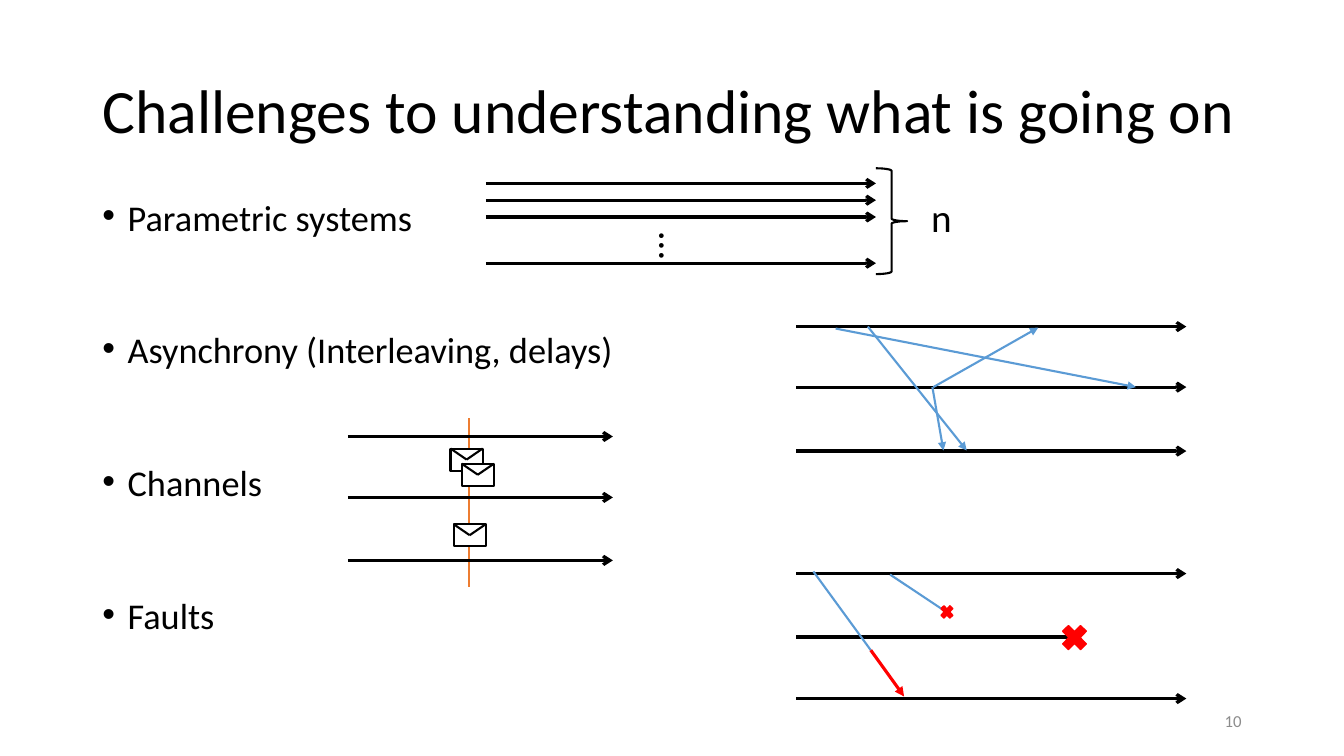
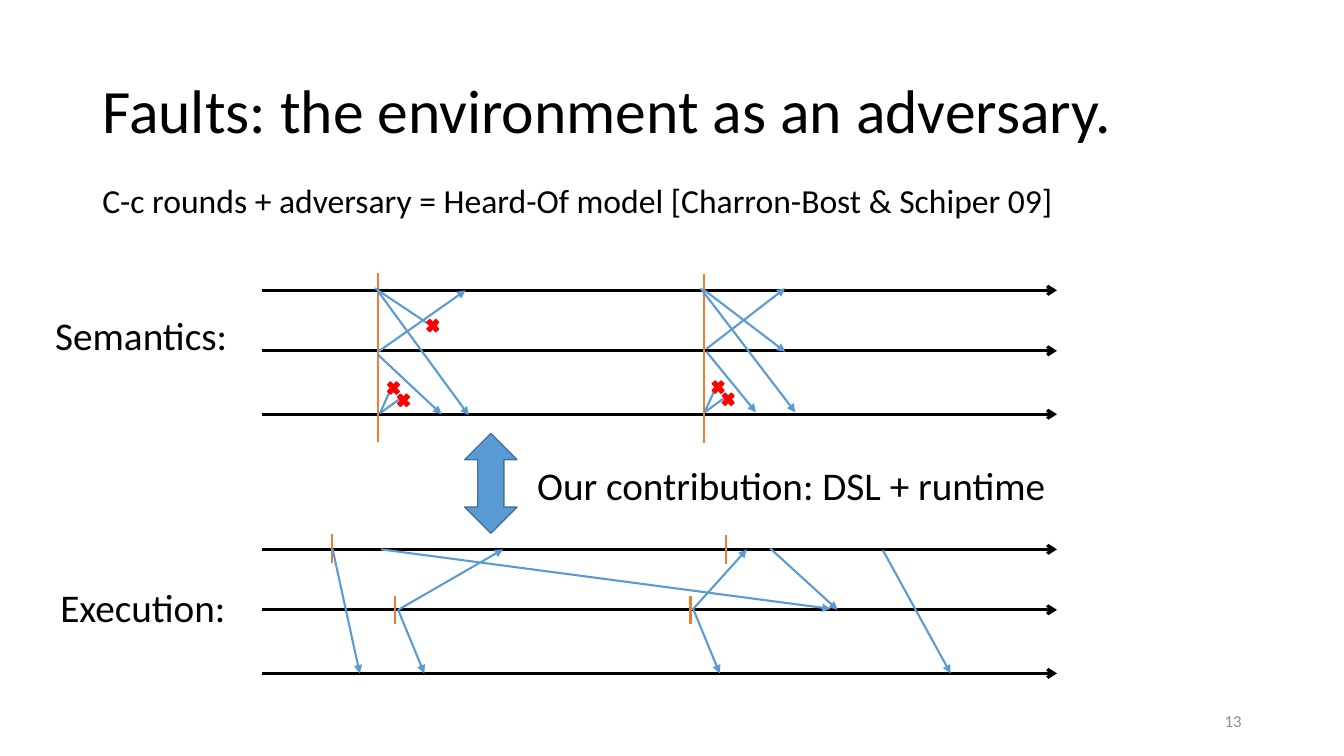
from lxml import etree
from pptx import Presentation
from pptx.dml.color import RGBColor
from pptx.enum import shapes, text
from pptx.oxml.ns import qn
from pptx.util import Pt

BLACK = RGBColor(0x00, 0x00, 0x00)
WHITE = RGBColor(0xFF, 0xFF, 0xFF)
BLUE = RGBColor(0x5B, 0x9B, 0xD5)
DARK_BLUE = RGBColor(0x43, 0x73, 0x9E)
ORANGE = RGBColor(0xED, 0x7D, 0x31)
RED = RGBColor(0xFF, 0x00, 0x00)
GRAY = RGBColor(0x8C, 0x8C, 0x8C)
FONT = "Calibri"

LINE = shapes.MSO_CONNECTOR.STRAIGHT
CROSS = shapes.MSO_SHAPE.MATH_MULTIPLY
SMALL_CROSS = (12.2, 13)


def write(tf, words, size=28, color=BLACK, align=text.PP_ALIGN.LEFT,
          anchor=text.MSO_ANCHOR.TOP, wrap=False, spacing=None,
          before=0, after=0):
    """Fill a text frame, one paragraph for each line of words."""
    tf.auto_size = text.MSO_AUTO_SIZE.NONE
    tf.word_wrap = wrap
    tf.vertical_anchor = anchor
    for i, line in enumerate(words.split("\n")):
        p = tf.add_paragraph() if i else tf.paragraphs[0]
        p.alignment = align
        p.line_spacing = spacing
        p.space_before, p.space_after = Pt(before), Pt(after)
        r = p.add_run()
        r.text = line
        r.font.name, r.font.size = FONT, Pt(size)
        r.font.color.rgb = color


def draw(s, kind, a, b, c, d, color=BLACK, width=1.5, fill=None, head=None):
    """Draw a line from (a, b) to (c, d), or a shape at (a, b) sized c by d."""
    box = [Pt(v) for v in (a, b, c, d)]
    if kind == LINE and isinstance(kind, shapes.MSO_CONNECTOR):
        sp = s.shapes.add_connector(kind, *box)
    else:
        sp = s.shapes.add_shape(kind, *box)
        sp.shadow.inherit = False
        if fill is None:
            sp.fill.background()
        else:
            sp.fill.solid()
            sp.fill.fore_color.rgb = fill
    sp.line.color.rgb = color
    sp.line.width = Pt(width)
    spPr = sp._element.spPr
    if head:
        etree.SubElement(spPr.find(qn("a:ln")), qn("a:tailEnd"), type=head)
    if spPr.find(qn("a:effectLst")) is None:
        etree.SubElement(spPr, qn("a:effectLst"))


prs = Presentation()
prs.slide_width, prs.slide_height = Pt(960), Pt(540)

# Title and slide number on both slides
slides = []
for layout, title, number in (
        (1, "Challenges to understanding what is going on", "10"),
        (5, "Faults: the environment as an adversary.", "13")):
    s = prs.slides.add_slide(prs.slide_layouts[layout])
    sp = s.shapes.title
    sp.left, sp.top, sp.width, sp.height = Pt(66), Pt(28.8), Pt(828), Pt(104.4)
    write(sp.text_frame, title, size=44, anchor=text.MSO_ANCHOR.MIDDLE,
          wrap=True, spacing=0.9)
    sp = s.shapes.add_textbox(Pt(678), Pt(500.4), Pt(216), Pt(28.8))
    write(sp.text_frame, number, size=12, color=GRAY, wrap=True,
          align=text.PP_ALIGN.RIGHT, anchor=text.MSO_ANCHOR.MIDDLE)
    slides.append(s)
challenges, adversary = slides

# Challenges: bullet list
s = challenges
sp = s.placeholders[1]
sp.left, sp.top, sp.width, sp.height = Pt(66), Pt(144), Pt(828), Pt(342.7)
write(sp.text_frame, "Parametric systems\nAsynchrony (Interleaving, delays)\n"
      "Channels\nFaults", size=25.9, wrap=True, spacing=0.7,
      before=10, after=63.2)
for p in sp.text_frame.paragraphs:
    pPr = p._p.get_or_add_pPr()
    pPr.set("marL", str(Pt(18)))
    pPr.set("indent", str(Pt(-18)))
    etree.SubElement(pPr, qn("a:buFont"), typeface="Arial")
    etree.SubElement(pPr, qn("a:buChar"), char="•")

# Process timelines: left, right, heights
for x1, x2, ys in ((347, 625.7, (131, 143, 155, 188)),
                   (568.8, 847.4, (233.3, 276.5, 322.2)),
                   (248.4, 437.8, (311.8, 355.3, 400.3)),
                   (568.8, 847.4, (409.7, 499))):
    if x1 == 248.4:
        draw(s, LINE, 334.8, 298.8, 334.8, 419, ORANGE)
    for y in ys:
        draw(s, LINE, x1, y, x2, y, width=2.25, head="arrow")

# Parametric systems: brace and labels
draw(s, shapes.MSO_SHAPE.RIGHT_BRACE, 625.7, 120.2, 22.3, 75.6)
sp = s.shapes.add_textbox(Pt(454.3), Pt(159.1), Pt(48.2), Pt(26.6))
write(sp.text_frame, "…")
sp.text_frame._txBody.bodyPr.set("vert", "vert")
sp = s.shapes.add_textbox(Pt(658.1), Pt(134.6), Pt(29.5), Pt(41))
write(sp.text_frame, "n")

# Asynchrony: messages
for ends in ((619.9, 233.3, 690.5, 321.8), (596.9, 234.7, 811.4, 276.5),
             (666, 276.5, 673.9, 321.8), (666.7, 276.5, 741.6, 234)):
    draw(s, LINE, *ends, BLUE, head="triangle")

# Channels: envelopes
w, h = 23, 15.8
for x, y in ((321.8, 320.4), (329.8, 331.2), (324, 374.4)):
    draw(s, shapes.MSO_SHAPE.RECTANGLE, x, y, w, h, fill=WHITE)
    for corner in (x, x + w):
        draw(s, LINE, corner, y, x + w / 2, y + h / 2)

# Faults: crashed process, lost message, corrupted message
draw(s, LINE, 568.8, 455, 767.5, 455, width=2.25)
draw(s, CROSS, 755.3, 442.8, 24.5, 25.2, RED, 1, RED)
draw(s, LINE, 635.8, 410.4, 676.5, 437.5, BLUE)
draw(s, CROSS, 670.3, 430.6, *SMALL_CROSS, RED, 1, RED)
draw(s, LINE, 581, 408.2, 622, 464.4, BLUE)
draw(s, LINE, 622, 464.4, 645.8, 497.5, RED, 2.25, head="triangle")

# Adversary: labels
s = adversary
for words, size, x, y, w, h in (
        ("C-c rounds + adversary = Heard-Of model [Charron-Bost & Schiper 09]",
         24, 66, 125.3, 702.7, 36),
        ("Semantics:", 28, 32.4, 218.9, 139, 41),
        ("Our contribution: DSL + runtime", 28, 376.6, 326.2, 382.3, 41),
        ("Execution:", 28, 36, 413.3, 133.9, 41)):
    sp = s.shapes.add_textbox(Pt(x), Pt(y), Pt(w), Pt(h))
    write(sp.text_frame, words, size=size)

# Timelines of the semantics and of the execution
for y in (207.4, 250.6, 295.9, 392.4, 435.6, 481):
    draw(s, LINE, 187, y, 755, y, width=2.25, head="arrow")

# Round boundaries: x, top, length
for x, y, length in ((270, 195.1, 120.3), (502.6, 195.8, 120.3),
                     (236.9, 381.6, 20.4), (282.2, 425.5, 20.4),
                     (518.4, 382.3, 20.4), (493.2, 425.5, 20.4)):
    draw(s, LINE, x, y, x, y + length, ORANGE)

# Delivered messages
for ends in ((270, 208, 334.8, 296.6), (270, 251.3, 332.6, 207.4),
             (270, 253.4, 315.4, 295.9), (500.4, 205.9, 568.1, 294.5),
             (504.7, 249.1, 560.9, 205.9), (504.7, 251.3, 540, 294.5),
             (503.3, 207.4, 560.9, 251.3), (237.6, 392.4, 257, 481),
             (272.2, 392.4, 593.3, 434.9), (284.4, 435.6, 303.1, 481),
             (284.4, 435.6, 359.3, 392.4), (495.4, 435.6, 514.1, 481),
             (494.6, 435.6, 533.5, 392.4), (550.1, 391.7, 598.3, 435.6),
             (630.7, 393.1, 679, 481)):
    draw(s, LINE, *ends, BLUE, head="triangle")

# Lost messages
draw(s, LINE, 267.8, 205.9, 308.9, 233.3, BLUE)
draw(s, CROSS, 303.1, 226.1, *SMALL_CROSS, RED, 1, RED)
for x, y in ((271.4, 295.2), (503.3, 294.5)):
    for dx, dy in ((6.5, -14.4), (15.9, -11.5)):
        draw(s, LINE, x, y, x + dx, y + dy, BLUE)
    for dx, dy in ((10.8, -15.8), (3.6, -24.5)):
        draw(s, CROSS, x + dx, y + dy, *SMALL_CROSS, RED, 1, RED)

# Link between semantics and execution
draw(s, shapes.MSO_SHAPE.UP_DOWN_ARROW, 331.9, 309.6, 37.4, 71.3,
     DARK_BLUE, 1, BLUE)

prs.save("out.pptx")
